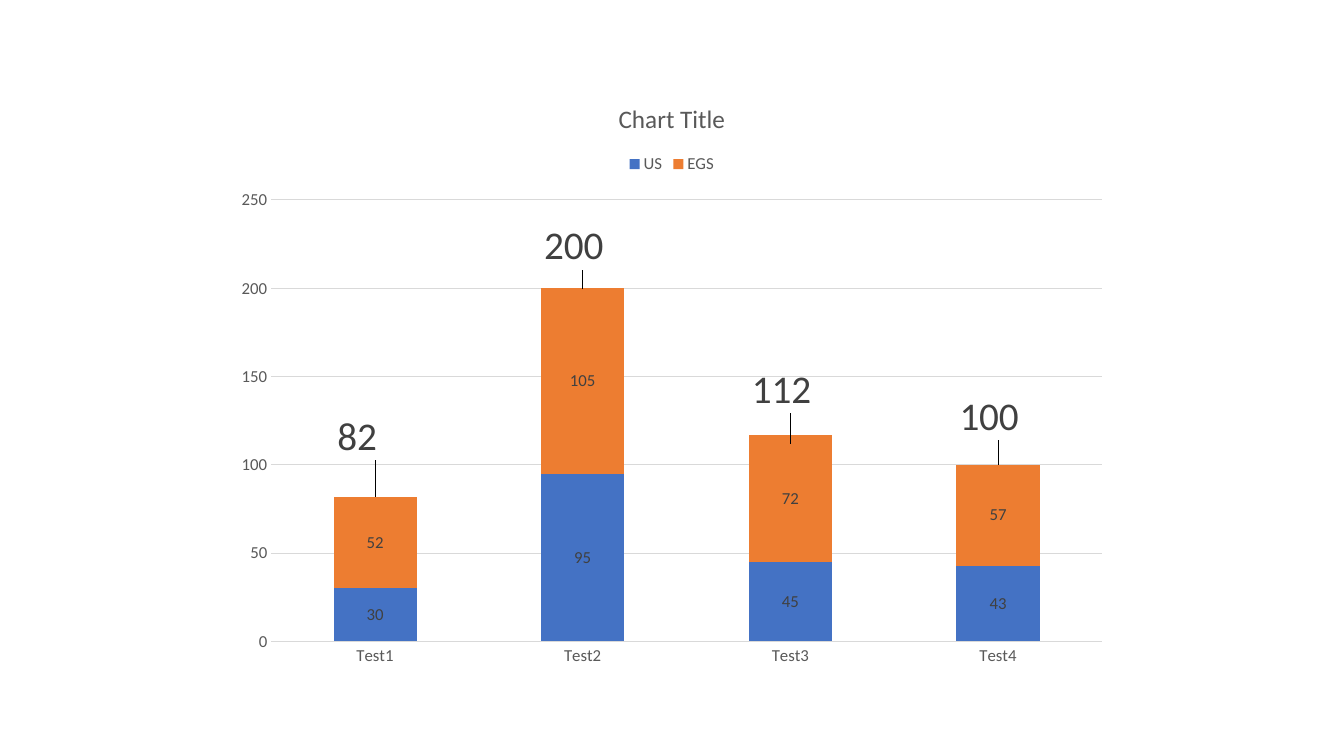
from dataclasses import dataclass

from lxml import etree
from pptx import Presentation
from pptx.chart.chart import Chart
from pptx.chart.data import CategoryChartData
from pptx.dml.color import RGBColor
from pptx.enum.chart import (XL_CHART_TYPE, XL_LABEL_POSITION, XL_LEGEND_POSITION,
                             XL_MARKER_STYLE, XL_TICK_MARK)
from pptx.oxml import parse_xml
from pptx.oxml.ns import qn
from pptx.text.text import Font
from pptx.util import Cm, Pt

BLUE = RGBColor(0x44, 0x72, 0xC4)
ORANGE = RGBColor(0xED, 0x7D, 0x31)
TEXT_GRAY = RGBColor(0x59, 0x59, 0x59)
LABEL_GRAY = RGBColor(0x40, 0x40, 0x40)
GRID_GRAY = RGBColor(0xD9, 0xD9, 0xD9)
CHART_NS = "http://schemas.openxmlformats.org/drawingml/2006/chart"


@dataclass(frozen=True)
class Region:
    name: str
    values: tuple[int, ...]
    color: RGBColor


@dataclass(frozen=True)
class Total:
    value: int
    shift_x: float  # label offset as a share of the chart width
    shift_y: float  # label offset as a share of the chart height


TESTS = ("Test1", "Test2", "Test3", "Test4")
REGIONS = (
    Region("US", (30, 95, 45, 43), BLUE),
    Region("EGS", (52, 105, 72, 57), ORANGE),
)
TOTALS = (
    Total(82, -0.02, -0.1),
    Total(200, -0.01, -0.07),
    Total(112, -0.01, -0.09),
    Total(100, -0.01, -0.08),
)


def style_font(font: Font, size: float, color: RGBColor) -> None:
    font.name = "Calibri"
    font.size = Pt(size)
    font.bold = False
    font.color.rgb = color


def move_totals_to_line(chart: Chart) -> None:
    """Turn the last stacked series into a line on the same axes."""
    bars = chart._chartSpace.find(f".//{qn('c:barChart')}")
    totals = bars.findall(qn("c:ser"))[-1]
    inverted = totals.find(qn("c:invertIfNegative"))
    if inverted is not None:
        totals.remove(inverted)
    axis_ids = "".join(f'<c:axId val="{axis.get("val")}"/>'
                       for axis in bars.findall(qn("c:axId")))
    line = parse_xml(
        f'<c:lineChart xmlns:c="{CHART_NS}"><c:grouping val="standard"/>'
        f'<c:varyColors val="0"/><c:marker val="1"/>{axis_ids}</c:lineChart>')
    line.insert(2, totals)
    bars.addnext(line)


def style_regions(chart: Chart) -> None:
    stack = chart.plots[0]
    stack.vary_by_categories = False
    stack.gap_width = 150
    stack.overlap = 100
    for region, series in zip(REGIONS, stack.series):
        series.format.fill.solid()
        series.format.fill.fore_color.rgb = region.color
        labels = series.data_labels
        labels.show_value = True
        labels.position = XL_LABEL_POSITION.CENTER
        style_font(labels.font, 12, LABEL_GRAY)


def style_totals(chart: Chart) -> None:
    series = chart.plots[1].series[0]
    series.smooth = False
    series.format.line.fill.background()
    series.marker.style = XL_MARKER_STYLE.NONE
    labels = series.data_labels
    labels.show_value = True
    labels.position = XL_LABEL_POSITION.CENTER
    style_font(labels.font, 28, LABEL_GRAY)
    for index in range(len(TOTALS)):
        label = series.points[index].data_label
        style_font(label.font, 28, LABEL_GRAY)
        label.position = XL_LABEL_POSITION.CENTER
    for total, label_xml in zip(TOTALS, series._element.iter(qn("c:dLbl"))):
        label_xml.insert(1, parse_xml(
            f'<c:layout xmlns:c="{CHART_NS}"><c:manualLayout>'
            f'<c:x val="{total.shift_x}"/><c:y val="{total.shift_y}"/>'
            f'</c:manualLayout></c:layout>'))


def style_axes(chart: Chart) -> None:
    tests, scale = chart.category_axis, chart.value_axis
    for axis in (tests, scale):
        axis.major_tick_mark = XL_TICK_MARK.NONE
        axis.minor_tick_mark = XL_TICK_MARK.NONE
        style_font(axis.tick_labels.font, 12, TEXT_GRAY)
    scale.minimum_scale, scale.maximum_scale, scale.major_unit = 0, 250, 50
    scale.has_major_gridlines = True
    scale.format.line.fill.background()
    for line in (tests.format.line, scale.major_gridlines.format.line):
        line.color.rgb = GRID_GRAY
        line.width = Pt(0.75)


def style_title_and_legend(chart: Chart) -> None:
    chart.has_title = True
    title = chart.chart_title.text_frame.paragraphs[0].add_run()
    title.text = "Chart Title"
    style_font(title.font, 18, TEXT_GRAY)
    chart.has_legend = True
    legend = chart.legend
    legend.position = XL_LEGEND_POSITION.TOP
    legend.include_in_layout = False
    style_font(legend.font, 12, TEXT_GRAY)
    # Keep the totals out of the legend
    entry = etree.Element(qn("c:legendEntry"))
    etree.SubElement(entry, qn("c:idx")).set("val", str(len(REGIONS)))
    etree.SubElement(entry, qn("c:delete")).set("val", "1")
    legend._element.find(qn("c:legendPos")).addnext(entry)


def main() -> None:
    presentation = Presentation()
    presentation.slide_width, presentation.slide_height = Cm(33.87), Cm(19.05)
    slide = presentation.slides.add_slide(presentation.slide_layouts[6])

    # Chart data: stacked regions and their totals
    results = CategoryChartData()
    results.categories = TESTS
    for region in REGIONS:
        results.add_series(region.name, region.values)
    results.add_series("Series 3", [total.value for total in TOTALS])

    # Chart
    chart = slide.shapes.add_chart(XL_CHART_TYPE.COLUMN_STACKED, Cm(5.64), Cm(2.01),
                                   Cm(22.58), Cm(15.06), results).chart
    style_font(chart.font, 10, RGBColor(0, 0, 0))
    move_totals_to_line(chart)
    style_regions(chart)
    style_totals(chart)
    style_axes(chart)
    style_title_and_legend(chart)

    presentation.save("out.pptx")


if __name__ == "__main__":
    main()
